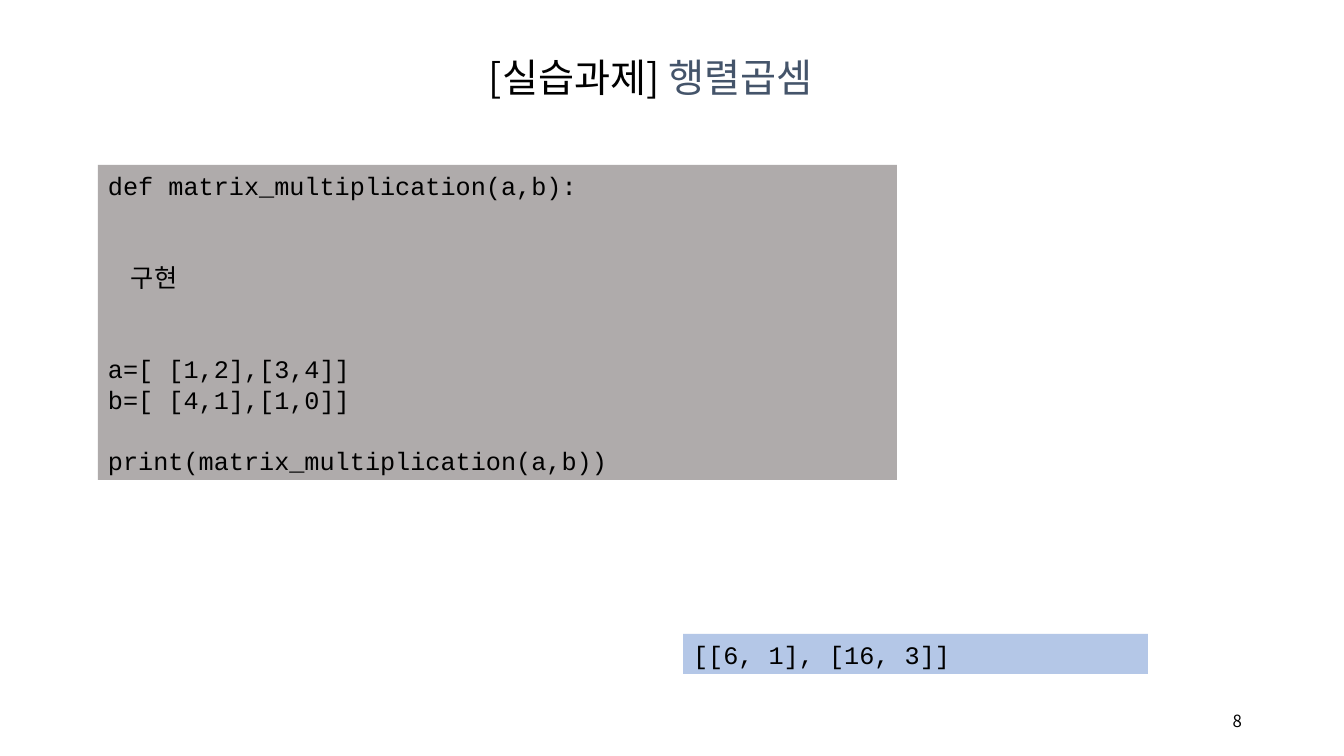
from dataclasses import dataclass
from lxml.etree import SubElement
from pptx import Presentation
from pptx.dml.color import RGBColor
from pptx.enum.shapes import MSO_SHAPE
from pptx.enum.text import MSO_ANCHOR, PP_ALIGN
from pptx.oxml.ns import qn
from pptx.util import Pt

SCALE = 914400 / 100.8


def px(size):
    return round(size * SCALE)


@dataclass(frozen=True)
class Theme:
    ink: str = "000000"
    accent: str = "44546A"
    code: str = "AFABAB"
    result: str = "B4C7E7"
    sans: str = "Noto Sans CJK KR"
    serif: str = "Times New Roman"
    mono: str = "Courier New"
    title: int = 28
    body: int = 18
    small: int = 12
    pitch: float = 21.8


class Page:
    def __init__(self, deck, theme):
        self.theme = theme
        self.slide = deck.slides.add_slide(deck.slide_layouts[6])

    def run(self, para, text, font, size, color=None):
        run = para.add_run()
        run.text = text
        run.font.name = font
        run.font.size = Pt(size)
        run.font.color.rgb = RGBColor.from_string(color or self.theme.ink)
        east = SubElement(run.font._element, qn("a:ea"))
        east.set("typeface", self.theme.sans)

    def frame(self, shape, anchor=MSO_ANCHOR.TOP):
        frame = shape.text_frame
        frame.word_wrap = True
        frame.vertical_anchor = anchor
        frame.margin_left = frame.margin_right = px(10)
        frame.margin_top = frame.margin_bottom = px(5)
        return frame

    def label(self, box, runs, align=PP_ALIGN.LEFT, anchor=MSO_ANCHOR.TOP):
        shape = self.slide.shapes.add_textbox(*map(px, box))
        para = self.frame(shape, anchor).paragraphs[0]
        para.alignment = align
        for run in runs:
            self.run(para, *run)
        return para

    def panel(self, box, fill, lines):
        theme = self.theme
        shape = self.slide.shapes.add_shape(MSO_SHAPE.RECTANGLE, *map(px, box))
        shape.shadow.inherit = False
        shape.fill.solid()
        shape.fill.fore_color.rgb = RGBColor.from_string(fill)
        shape.line.fill.background()
        frame = self.frame(shape)
        for row, (text, gap, indent) in enumerate(lines):
            para = frame.add_paragraph() if row else frame.paragraphs[0]
            para.alignment = PP_ALIGN.LEFT
            para.line_spacing = Pt(theme.pitch)
            para.space_before = Pt(gap * theme.pitch)
            para._p.get_or_add_pPr().set("marL", str(px(indent)))
            self.run(para, text, theme.mono, theme.body)


theme = Theme()
deck = Presentation()
deck.slide_width, deck.slide_height = px(1344), px(756)
page = Page(deck, theme)

page.label((1206, 701, 46, 40), [("8", theme.sans, theme.small)],
           PP_ALIGN.RIGHT, MSO_ANCHOR.MIDDLE)
page.panel((98, 165, 799, 315), theme.code, [
    ("def matrix_multiplication(a,b):", 0, 0),
    ("구현", 2, 23),
    ("a=[ [1,2],[3,4]]", 2, 0),
    ("b=[ [4,1],[1,0]]", 0, 0),
    ("print(matrix_multiplication(a,b))", 1, 0),
])
page.panel((683, 634, 465, 40), theme.result, [("[[6, 1], [16, 3]]", 0, 0)])
title = page.label((479, 54, 438, 67), [
    ("[실습과제] ", theme.sans, theme.title),
    ("행렬곱셈", theme.serif, theme.title, theme.accent),
])
title.line_spacing = 0.9
title.space_before = Pt(10)

deck.save("out.pptx")
